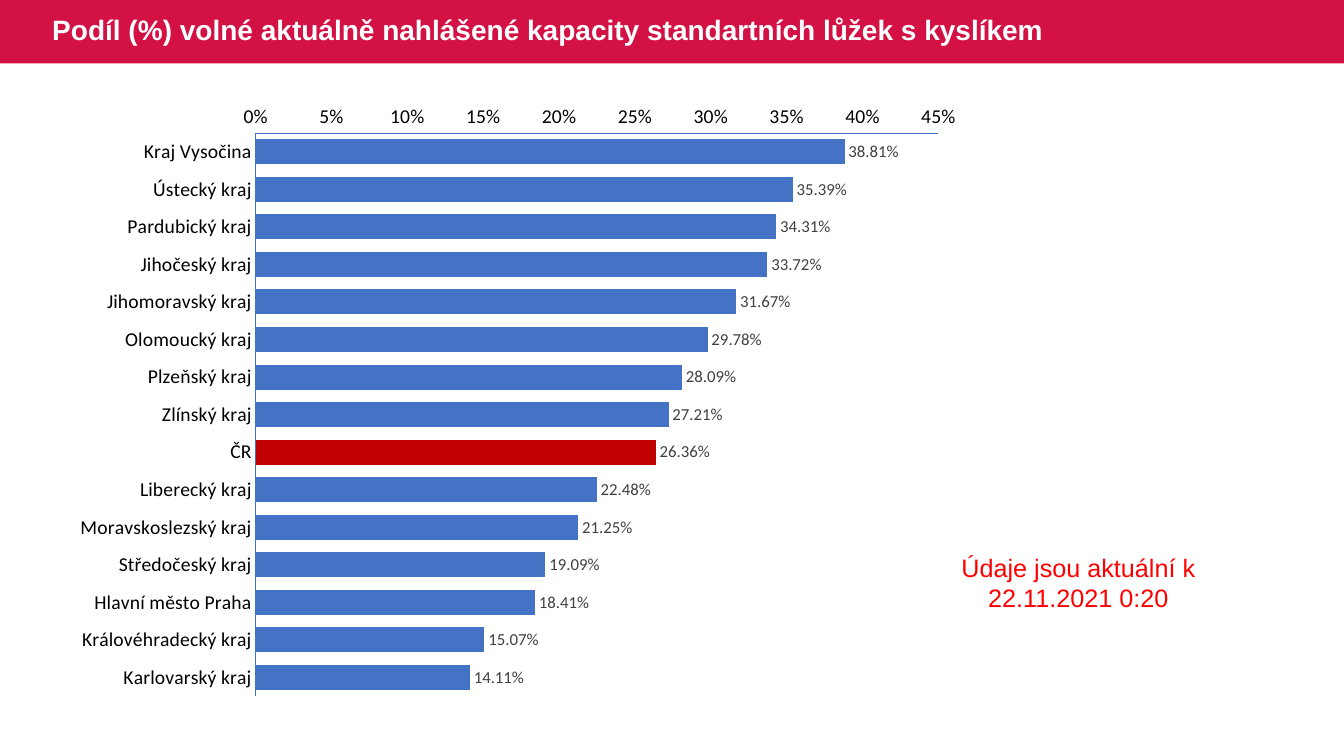
"""Build a slide with a bar chart of free oxygen bed capacity by region."""
import pptx
import pptx.util
import pptx.chart.data
import pptx.dml.color
import pptx.enum.chart
import pptx.enum.shapes
import pptx.enum.text
import pptx.oxml
import pptx.oxml.ns

Inches, Pt = pptx.util.Inches, pptx.util.Pt
TITLE = "Podíl (%) volné aktuálně nahlášené kapacity standartních lůžek s kyslíkem"
NOTE = "Údaje jsou aktuální k 22.11.2021 0:20"
TOTAL = "ČR"
SHARES = {
    "Kraj Vysočina": 0.3881,
    "Ústecký kraj": 0.3539,
    "Pardubický kraj": 0.3431,
    "Jihočeský kraj": 0.3372,
    "Jihomoravský kraj": 0.3167,
    "Olomoucký kraj": 0.2978,
    "Plzeňský kraj": 0.2809,
    "Zlínský kraj": 0.2721,
    TOTAL: 0.2636,
    "Liberecký kraj": 0.2248,
    "Moravskoslezský kraj": 0.2125,
    "Středočeský kraj": 0.1909,
    "Hlavní město Praha": 0.1841,
    "Královéhradecký kraj": 0.1507,
    "Karlovarský kraj": 0.1411,
}
COLORS = {"band": "D31145", "bar": "4472C4", "total": "C00000", "label": "404040",
          "note": "FF0000", "text": "000000", "title": "FFFFFF"}
PLOT = {"x": 0.21, "y": 0.07, "w": 0.75, "h": 0.91}


def color(key):
    return pptx.dml.color.RGBColor.from_string(COLORS[key])


def style(font, name, size, key, bold=False):
    font.name, font.size, font.bold = name, Pt(size), bold
    font.color.rgb = color(key)


def paint(fill, key):
    fill.solid()
    fill.fore_color.rgb = color(key)


def add_text(slide, box, text, size, key, bold=False):
    frame = slide.shapes.add_textbox(*map(Inches, box)).text_frame
    frame.word_wrap = True
    frame.text = text
    line = frame.paragraphs[0]
    style(line.runs[0].font, "Arial", size, key, bold)
    return frame, line


def add_band(slide):
    band = slide.shapes.add_shape(pptx.enum.shapes.MSO_SHAPE.RECTANGLE,
                                  0, 0, Inches(13.33), Inches(0.63))
    band.shadow.inherit = False
    paint(band.fill, "band")
    band.line.fill.background()


def place_plot(chart):
    sides = "".join(f'<c:{side}Mode val="edge"/>' for side in "xy")
    sizes = "".join(f'<c:{side} val="{part}"/>' for side, part in PLOT.items())
    space = pptx.oxml.ns.nsdecls("c")
    layout = pptx.oxml.parse_xml(
        f'<c:layout {space}><c:manualLayout><c:layoutTarget val="inner"/>'
        f'{sides}{sizes}</c:manualLayout></c:layout>')
    area = chart.plots[0]._element.getparent()
    for old in area.findall(pptx.oxml.ns.qn("c:layout")):
        area.remove(old)
    area.insert(0, layout)


def add_bars(slide):
    data = pptx.chart.data.CategoryChartData(number_format="0.00%")
    data.categories = list(SHARES)
    data.add_series("Series 1", list(SHARES.values()))
    kinds = pptx.enum.chart
    chart = slide.shapes.add_chart(
        kinds.XL_CHART_TYPE.BAR_CLUSTERED,
        *map(Inches, (0.64, 0.89, 9.03, 6.14)), data).chart
    chart.has_legend = chart.has_title = False
    style(chart.font, "Calibri", 10, "text")
    for axis in (chart.category_axis, chart.value_axis):
        axis.has_major_gridlines = False
        axis.major_tick_mark = axis.minor_tick_mark = kinds.XL_TICK_MARK.NONE
        style(axis.tick_labels.font, "Calibri", 14, "text")
        axis.format.line.color.rgb = color("bar")
        axis.format.line.width = Pt(0.75)
    chart.category_axis.reverse_order = True
    scale = chart.value_axis
    scale.minimum_scale, scale.maximum_scale, scale.major_unit = 0, 0.45, 0.05
    scale.tick_labels.number_format = "0%"
    scale.tick_labels.number_format_is_linked = False
    plot = chart.plots[0]
    plot.gap_width = 50
    plot.vary_by_categories = False
    bars = plot.series[0]
    bars.invert_if_negative = False
    paint(bars.format.fill, "bar")
    paint(bars.points[list(SHARES).index(TOTAL)].format.fill, "total")
    labels = bars.data_labels
    labels.show_value = True
    labels.position = kinds.XL_LABEL_POSITION.OUTSIDE_END
    labels.number_format = "0.00%"
    labels.number_format_is_linked = False
    style(labels.font, "Calibri", 12, "label")
    place_plot(chart)


def main():
    deck = pptx.Presentation()
    deck.slide_width, deck.slide_height = Inches(13.33), Inches(7.5)
    slide = deck.slides.add_slide(deck.slide_layouts[6])
    add_band(slide)
    frame, line = add_text(slide, (0.42, 0, 11.56, 0.63), TITLE, 20, "title", True)
    frame.vertical_anchor = pptx.enum.text.MSO_ANCHOR.MIDDLE
    line.line_spacing = 0.9
    add_bars(slide)
    frame, line = add_text(slide, (9.42, 5.43, 2.55, 0.71), NOTE, 18, "note")
    line.alignment = pptx.enum.text.PP_ALIGN.CENTER
    deck.save("out.pptx")


if __name__ == "__main__":
    main()
